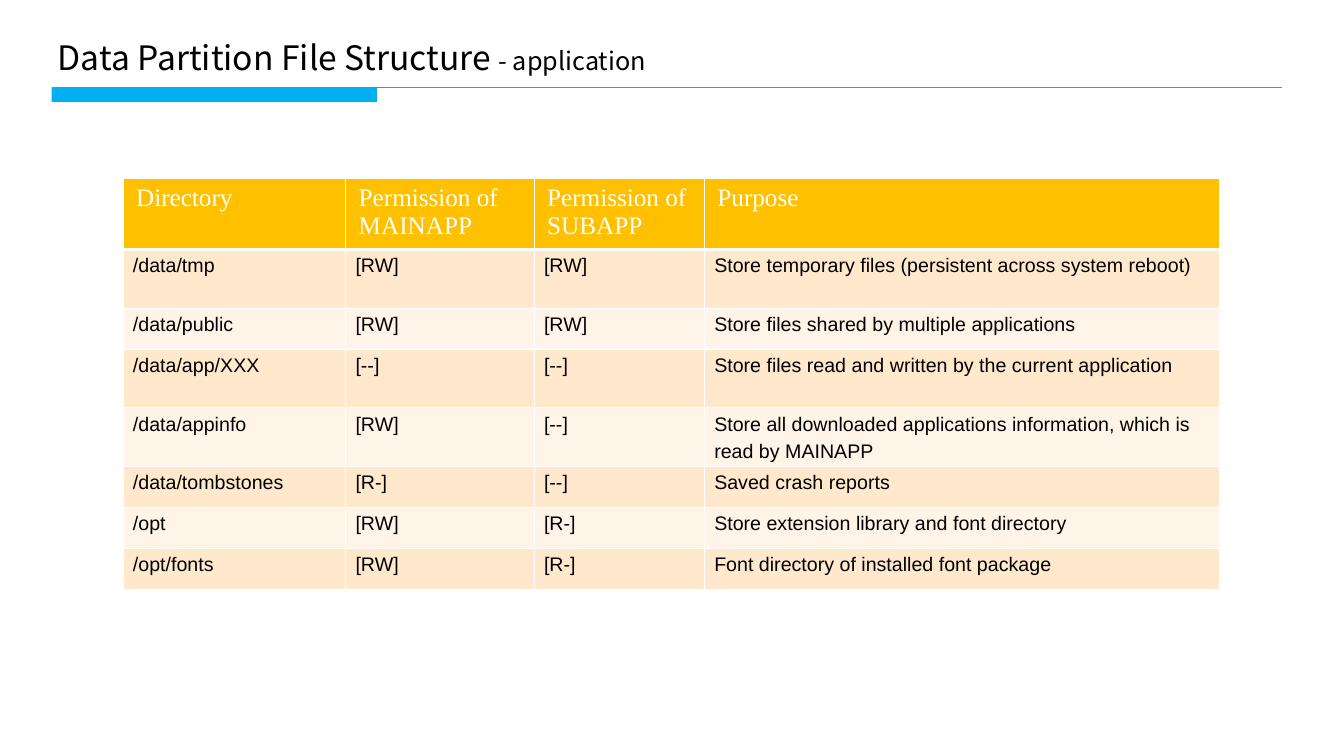
from lxml.etree import SubElement
from pptx import Presentation
from pptx.dml.color import RGBColor
from pptx.enum.shapes import MSO_CONNECTOR, MSO_SHAPE
from pptx.enum.text import MSO_ANCHOR, MSO_AUTO_SIZE, PP_ALIGN
from pptx.oxml.ns import qn
from pptx.util import Cm, Pt

BLACK = RGBColor(0x00, 0x00, 0x00)
WHITE = RGBColor(0xFF, 0xFF, 0xFF)
BLUE = RGBColor(0x00, 0xB0, 0xF0)
AMBER = RGBColor(0xFF, 0xC0, 0x00)
PEACH = RGBColor(0xFF, 0xE8, 0xCC)
CREAM = RGBColor(0xFF, 0xF4, 0xE7)

HEADERS = ["Directory", "Permission of MAINAPP", "Permission of SUBAPP", "Purpose"]
DIRECTORIES = [
    ["/data/tmp", "[RW]", "[RW]", "Store temporary files (persistent across system reboot)"],
    ["/data/public", "[RW]", "[RW]", "Store files shared by multiple applications"],
    ["/data/app/XXX", "[--]", "[--]", "Store files read and written by the current application"],
    ["/data/appinfo", "[RW]", "[--]",
     "Store all downloaded applications information, which is read by MAINAPP"],
    ["/data/tombstones", "[R-]", "[--]", "Saved crash reports"],
    ["/opt", "[RW]", "[R-]", "Store extension library and font directory"],
    ["/opt/fonts", "[RW]", "[R-]", "Font directory of installed font package"],
]
COLUMN_WIDTHS = [5.61, 4.75, 4.29, 12.98]
HEADER_HEIGHT, SINGLE, DOUBLE = 1.73, 1.03, 1.48
ROW_HEIGHTS = [HEADER_HEIGHT, DOUBLE, SINGLE, DOUBLE, DOUBLE, SINGLE, SINGLE, SINGLE]


class SlideBuilder:
    title_font = "Noto Sans CJK SC"
    header_font = "Times New Roman"
    body_font = "Arial"

    def __init__(self, presentation):
        self.slide = presentation.slides.add_slide(presentation.slide_layouts[5])

    def run(self, paragraph, text, font, size, color):
        run = paragraph.add_run()
        run.text = text
        run.font.name = font
        run.font.size = Pt(size)
        run.font.bold = False
        run.font.color.rgb = color

    def title(self, left, top, width, height, parts):
        shape = self.slide.shapes.title
        shape.left, shape.top = Cm(left), Cm(top)
        shape.width, shape.height = Cm(width), Cm(height)
        frame = shape.text_frame
        frame.word_wrap = True
        frame.auto_size = MSO_AUTO_SIZE.SHAPE_TO_FIT_TEXT
        frame.vertical_anchor = MSO_ANCHOR.TOP
        paragraph = frame.paragraphs[0]
        paragraph.alignment = PP_ALIGN.LEFT
        for text, size in parts:
            self.run(paragraph, text, self.title_font, size, BLACK)

    def rule(self, left, top, right):
        line = self.slide.shapes.add_connector(
            MSO_CONNECTOR.STRAIGHT, Cm(left), Cm(top), Cm(right), Cm(top))
        line.line.color.rgb = BLUE
        line.line.width = Pt(1)
        SubElement(line._element.spPr, qn("a:effectLst"))

    def bar(self, left, top, width, height):
        shape = self.slide.shapes.add_shape(
            MSO_SHAPE.RECTANGLE, Cm(left), Cm(top), Cm(width), Cm(height))
        shape.shadow.inherit = False
        shape.fill.solid()
        shape.fill.fore_color.rgb = BLUE
        shape.line.fill.background()

    def borders(self, cell, bottom):
        properties = cell._tc.get_or_add_tcPr()
        for side, width in (("L", 1), ("R", 1), ("T", 1), ("B", bottom)):
            line = SubElement(properties, qn(f"a:ln{side}"), w=str(Pt(width)))
            fill = SubElement(line, qn("a:solidFill"))
            SubElement(fill, qn("a:srgbClr"), val=str(WHITE))

    def cell(self, cell, text, color, is_header):
        self.borders(cell, 3 if is_header else 1)
        cell.fill.solid()
        cell.fill.fore_color.rgb = color
        cell.margin_left = cell.margin_right = Cm(0.33 if is_header else 0.25)
        cell.margin_top = cell.margin_bottom = Cm(0.13 if is_header else 0)
        paragraph = cell.text_frame.paragraphs[0]
        if is_header:
            self.run(paragraph, text, self.header_font, 18, WHITE)
        else:
            paragraph.line_spacing = 1.25
            paragraph.space_after = Pt(6)
            self.run(paragraph, text, self.body_font, 14, BLACK)

    def table(self, left, top, rows, widths, heights):
        table = self.slide.shapes.add_table(
            len(rows), len(widths), Cm(left), Cm(top),
            Cm(sum(widths)), Cm(sum(heights))).table
        for column, width in zip(table.columns, widths):
            column.width = Cm(width)
        for index, (row, height) in enumerate(zip(rows, heights)):
            table.rows[index].height = Cm(height)
            color = AMBER if index == 0 else PEACH if index % 2 else CREAM
            for position, text in enumerate(row):
                self.cell(table.cell(index, position), text, color, index == 0)


def main():
    presentation = Presentation()
    presentation.slide_width = Cm(33.87)
    presentation.slide_height = Cm(19.05)
    builder = SlideBuilder(presentation)
    builder.rule(1.3, 2.2, 32.3)
    builder.bar(1.3, 2.2, 8.2, 0.37)
    builder.title(1.2, 0.8, 17.15, 1.27,
                  [("Data Partition File Structure ", 24), ("- application", 18)])
    builder.table(3.1, 4.5, [HEADERS] + DIRECTORIES, COLUMN_WIDTHS, ROW_HEIGHTS)
    presentation.save("out.pptx")


if __name__ == "__main__":
    main()
